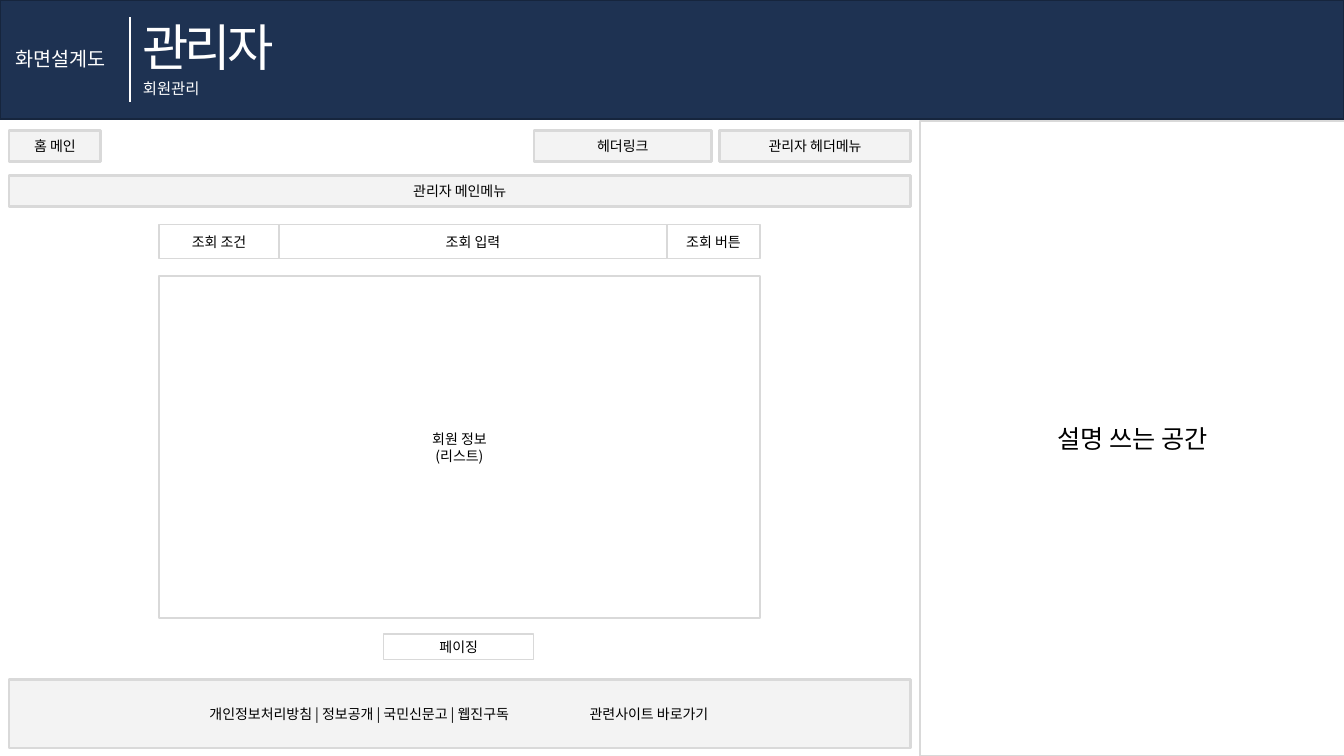
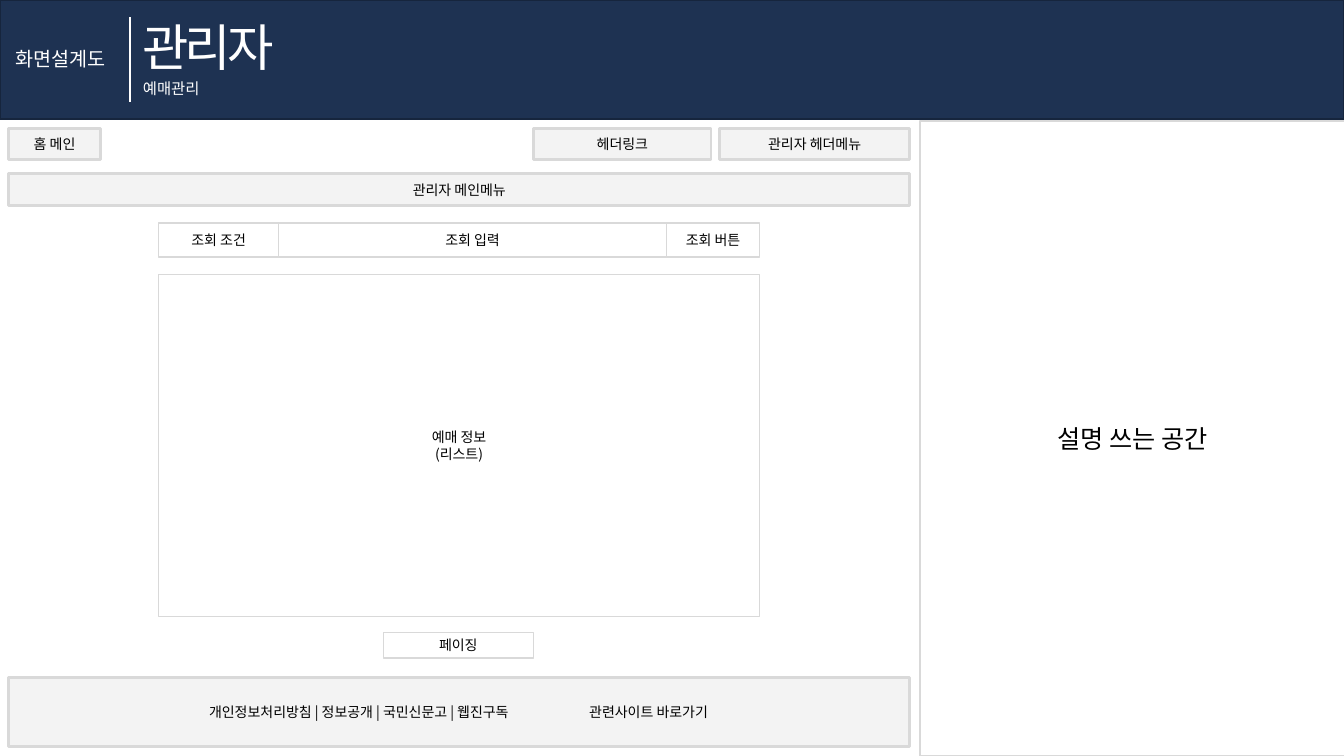
from lxml import etree
from pptx import Presentation
from pptx.dml.color import RGBColor
from pptx.enum.shapes import MSO_CONNECTOR, MSO_SHAPE
from pptx.enum.text import MSO_ANCHOR, MSO_AUTO_SIZE, PP_ALIGN
from pptx.oxml.ns import qn
from pptx.util import Cm, Pt

RECT, STRAIGHT = MSO_SHAPE.RECTANGLE, MSO_CONNECTOR.STRAIGHT
LEFT, CENTER, MIDDLE = PP_ALIGN.LEFT, PP_ALIGN.CENTER, MSO_ANCHOR.MIDDLE
FIT = MSO_AUTO_SIZE.SHAPE_TO_FIT_TEXT

# Content
SECTION, LABEL = "관리자", "화면설계도"
NOTE = "설명 쓰는 공간"
HOME, MAIN_MENU, PAGING = "홈 메인", "관리자 메인메뉴", "페이징"
HEADER_BUTTONS = [("헤더링크", 4.47), ("관리자 헤더메뉴", 4.8)]  # text, width
SEARCH_CELLS = [("조회 조건", 3.02), ("조회 입력", 9.78), ("조회 버튼", 2.34)]
FOOTER_LINKS = ["개인정보처리방침", "정보공개", "국민신문고", "웹진구독"]
RELATED = "관련사이트 바로가기"
SCREENS = [  # subtitle, list lines, offset of the wireframe
    ("회원관리", ["회원 정보", "(리스트)"], (0, 0)),
    ("예매관리", ["예매 정보", "(리스트)"], (-0.01, -0.04)),
]

# Style, lengths in cm
FONT, LATIN = "Noto Sans CJK KR", "Arial"
NAVY, NAVY_EDGE, GREY, WHITE, BLACK = "1E3252", "16253D", "D9D9D9", "FFFFFF", "000000"
WIDTH, HEIGHT = 33.87, 19.05
FRAME_X, FRAME_W = 0.23, 22.71
BUTTON_H, BUTTON_GAP = 0.79, 0.21
LIST_X = 4.01
LIST_W = sum(width for _, width in SEARCH_CELLS)
FOOTER_INDENT, FOOTER_TAB = 5.05, 9.58


def rgb(color):
    return RGBColor.from_string(color)


def write(shape, lines, size, color=BLACK, align=CENTER, font=FONT):
    tf = shape.text_frame
    tf.text = "\n".join(lines)
    for p in tf.paragraphs:
        p.alignment = align
        for r in p.runs:
            r.font.size, r.font.name = Pt(size), font
            r.font.color.rgb = rgb(color)
            east_asian = etree.SubElement(r._r.get_or_add_rPr(), qn("a:ea"))
            east_asian.set("typeface", FONT)


def add_box(s, x, y, w, h, lines=(), size=10, fill=WHITE, edge=GREY, weight=1):
    box = s.shapes.add_shape(RECT, Cm(x), Cm(y), Cm(w), Cm(h))
    box.shadow.inherit = False
    box.fill.solid()
    box.fill.fore_color.rgb = rgb(fill)
    box.line.color.rgb = rgb(edge)
    box.line.width = Pt(weight)
    box.text_frame.vertical_anchor = MIDDLE
    write(box, lines, size)
    return box


def add_bar(s, x, y, w, h, lines):
    """Translucent grey box with a thick edge."""
    bar = add_box(s, x, y, w, h, lines, fill=GREY, weight=2)
    color = bar._element.spPr.find(qn("a:solidFill")).find(qn("a:srgbClr"))
    etree.SubElement(color, qn("a:alpha")).set("val", "30000")
    return bar


def add_label(s, x, y, w, h, text, size, font=FONT):
    box = s.shapes.add_textbox(Cm(x), Cm(y), Cm(w), Cm(h))
    box.text_frame.word_wrap = False
    box.text_frame.auto_size = FIT
    write(box, [text], size, WHITE, LEFT, font)
    return box


def add_header(s, subtitle):
    add_box(s, 0, 0, WIDTH, 3, fill=NAVY, edge=NAVY_EDGE)
    title = add_label(s, 3.35, 0.28, 4.04, 1.8, SECTION, 36)
    title.text_frame.paragraphs[0].runs[0]._r.get_or_add_rPr().set("spc", "-300")
    add_label(s, 0.13, 1.07, 3, 0.86, LABEL, 14)
    rule = s.shapes.add_connector(STRAIGHT, Cm(3.28), Cm(0.43), Cm(3.28), Cm(2.57))
    rule.line.color.rgb = rgb(WHITE)
    rule.line.width = Pt(1.5)
    etree.SubElement(rule._element.spPr, qn("a:effectLst"))
    add_label(s, 3.35, 1.88, 2.08, 0.74, subtitle, 11, LATIN)


def add_footer(s, x, y):
    """Bar with the links, then the related sites at a tab stop."""
    footer = add_bar(s, x, y, FRAME_W, 1.73, [" | ".join(FOOTER_LINKS) + "\t" + RELATED])
    footer.text_frame.margin_left = Cm(FOOTER_INDENT)
    p = footer.text_frame.paragraphs[0]
    p.alignment = LEFT
    tabs = etree.SubElement(p._p.get_or_add_pPr(), qn("a:tabLst"))
    tab = etree.SubElement(tabs, qn("a:tab"))
    tab.set("pos", str(int(Cm(FOOTER_TAB))))
    tab.set("algn", "l")


def add_wireframe(s, list_lines, dx, dy):
    left = FRAME_X + dx
    add_bar(s, left, 4.42 + dy, FRAME_W, BUTTON_H, [MAIN_MENU])
    add_bar(s, left, 3.28 + dy, 2.31, BUTTON_H, [HOME])
    right = left + FRAME_W
    for text, width in reversed(HEADER_BUTTONS):
        add_bar(s, right - width, 3.28 + dy, width, BUTTON_H, [text])
        right -= width + BUTTON_GAP
    add_footer(s, left, 17.12 + dy)

    x = LIST_X + dx
    add_box(s, x, 6.96 + dy, LIST_W, 8.61, list_lines)
    add_box(s, 9.67 + dx, 15.98 + dy, 3.78, 0.64, [PAGING])
    for text, width in SEARCH_CELLS:
        add_box(s, x, 5.66 + dy, width, 0.86, [text])
        x += width


def main():
    prs = Presentation()
    prs.slide_width, prs.slide_height = Cm(WIDTH), Cm(HEIGHT)
    for subtitle, list_lines, offset in SCREENS:
        s = prs.slides.add_slide(prs.slide_layouts[6])
        add_header(s, subtitle)
        add_box(s, 23.19, 3.05, 10.72, 16, [NOTE], size=18)
        add_wireframe(s, list_lines, *offset)
    prs.save("out.pptx")


if __name__ == "__main__":
    main()
